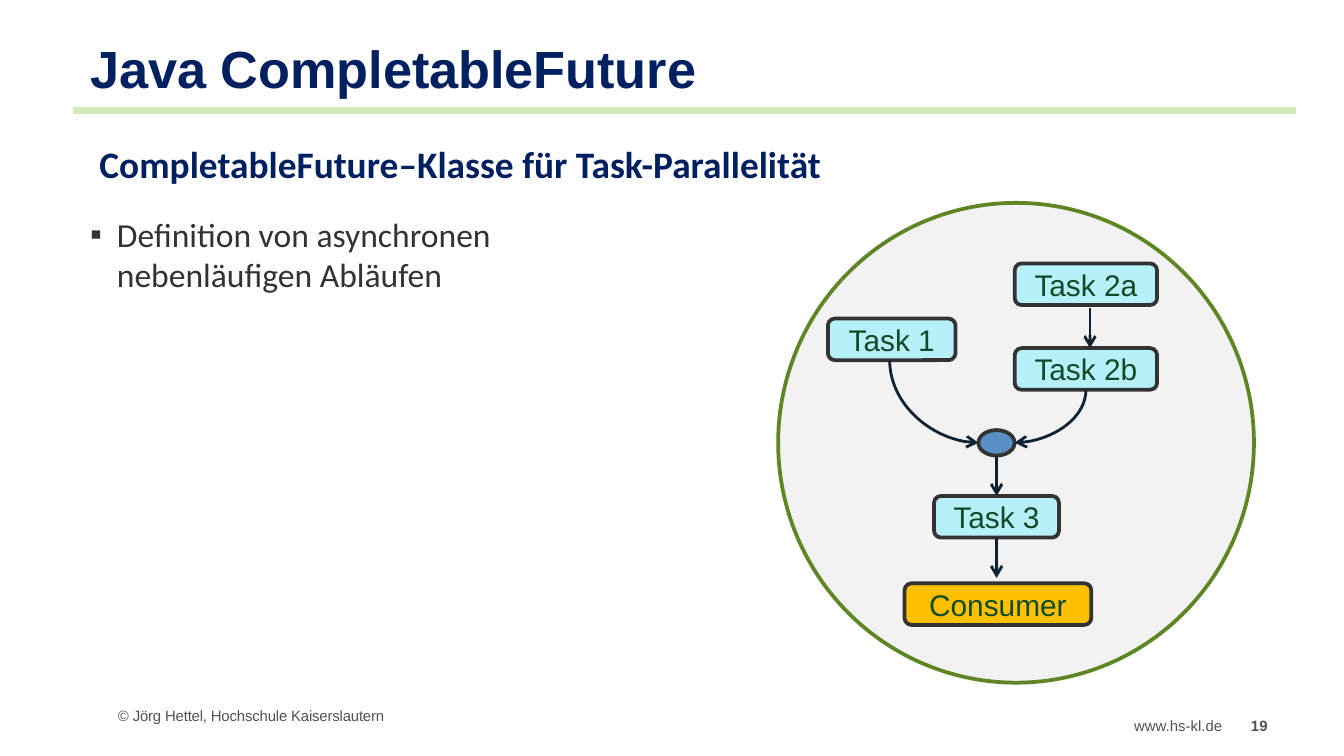
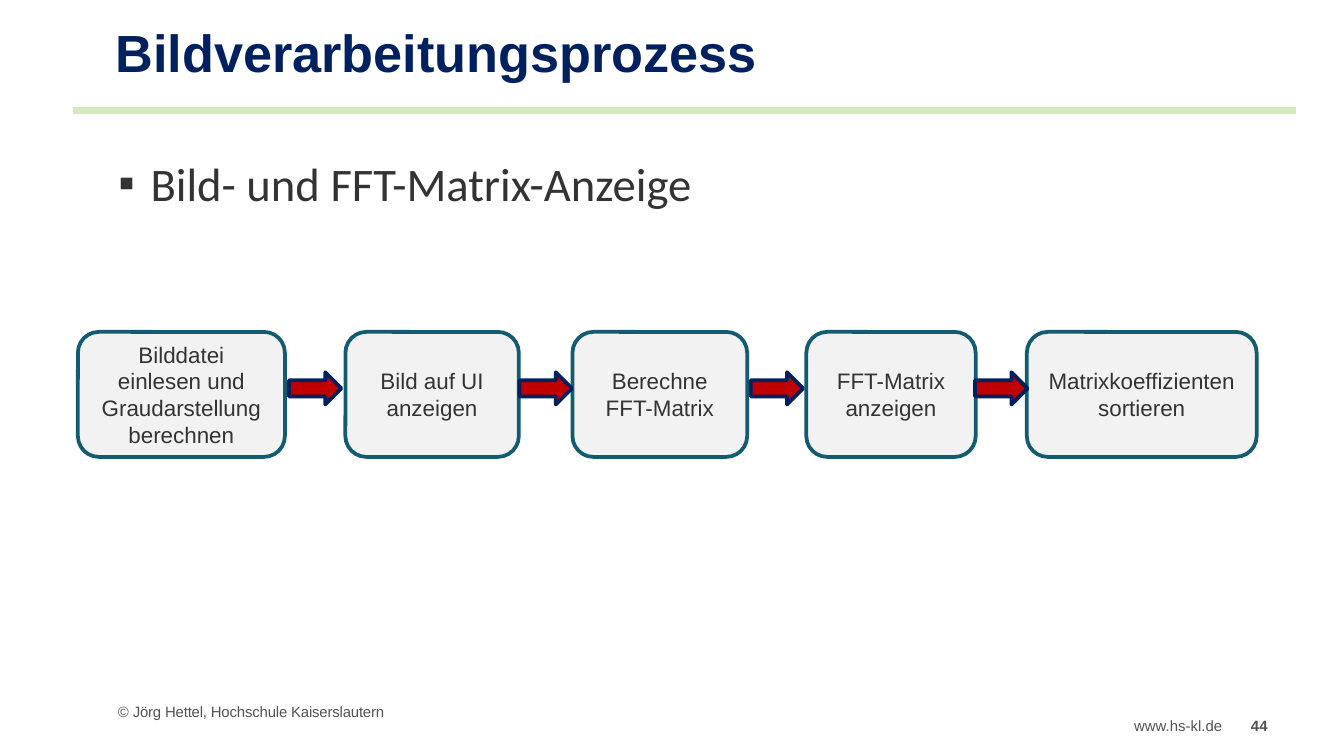
from itertools import pairwise

from lxml import etree
from pptx import Presentation
from pptx import util as u
from pptx.dml.color import RGBColor
from pptx.enum import shapes, text
from pptx.oxml.ns import qn

PX = 9144
SLIDE_WIDTH = 1000
SLIDE_HEIGHT = SLIDE_WIDTH * 9 / 16

NAVY = RGBColor(0x00, 0x20, 0x60)
DARK = RGBColor(0x33, 0x33, 0x33)
GREY = RGBColor(0x52, 0x52, 0x52)
PALE = RGBColor(0xF2, 0xF2, 0xF2)
RULE_GREEN = RGBColor(0xD3, 0xEA, 0xBF)
CIRCLE_GREEN = RGBColor(0x60, 0x85, 0x25)
TASK_GREEN = RGBColor(0x0F, 0x4B, 0x28)
TASK_CYAN = RGBColor(0xB6, 0xF0, 0xF8)
ORANGE = RGBColor(0xFF, 0xC0, 0x00)
BLUE = RGBColor(0x58, 0x90, 0xC5)
ARROW_INK = RGBColor(0x11, 0x22, 0x33)
TEAL = RGBColor(0x12, 0x5B, 0x70)
RED = RGBColor(0xC0, 0x00, 0x00)

SITE = "www.hs-kl.de"
COPYRIGHT = "© Jörg Hettel, Hochschule Kaiserslautern"

FUTURE = {
    "title": "Java CompletableFuture",
    "heading": "CompletableFuture–Klasse für Task-Parallelität",
    "bullet": ["Definition von asynchronen", "nebenläufigen Abläufen"],
    "tasks": {
        "Task 1": (616, 237, 95, TASK_CYAN),
        "Task 2a": (755, 196, 106, TASK_CYAN),
        "Task 2b": (755, 259, 106, TASK_CYAN),
        "Task 3": (695, 369, 93, TASK_CYAN),
        "Consumer": (673, 434, 139, ORANGE),
    },
    "number": "19",
}
IMAGING = {
    "title": "Bildverarbeitungsprozess",
    "bullet": ["Bild- und FFT-Matrix-Anzeige"],
    "steps": [
        ("Bilddatei einlesen und Graudarstellung berechnen", 58, 154),
        ("Bild auf UI anzeigen", 257, 129),
        ("Berechne FFT-Matrix", 426, 130),
        ("FFT-Matrix anzeigen", 600, 126),
        ("Matrixkoeffizienten sortieren", 764, 171),
    ],
    "number": "44",
}
TASK_HEIGHT = 31
STEP_TOP, STEP_HEIGHT = 247, 93
ARROW_TOP, ARROW_WIDTH, ARROW_HEIGHT = 277, 39, 24
JOIN = (728, 320, 27, 19)


def emu(*lengths):
    return [round(length * PX) for length in lengths]


def add_run(paragraph, words, size, color, font="Arial", bold=False):
    run = paragraph.add_run()
    run.text = words
    run.font.size = u.Pt(size)
    run.font.name = font
    run.font.bold = bold
    run.font.color.rgb = color
    return run


def set_insets(frame, *insets):
    (frame.margin_left, frame.margin_top,
     frame.margin_right, frame.margin_bottom) = emu(*insets)


def place(shape, box):
    shape.left, shape.top, shape.width, shape.height = emu(*box)


def add_box(slide, kind, box, fill, line, words="", size=12, color=DARK):
    shape = slide.shapes.add_shape(kind, *emu(*box))
    shape.shadow.inherit = False
    shape.fill.solid()
    shape.fill.fore_color.rgb = fill
    shape.line.color.rgb = line
    shape.line.width = u.Pt(2)
    if words:
        frame = shape.text_frame
        frame.word_wrap = True
        frame.vertical_anchor = text.MSO_ANCHOR.MIDDLE
        paragraph = frame.paragraphs[0]
        paragraph.alignment = text.PP_ALIGN.CENTER
        add_run(paragraph, words, size, color)
    return shape


def add_line(slide, kind, start, end, color, width):
    connector = slide.shapes.add_connector(kind, *emu(*start, *end))
    connector.line.color.rgb = color
    connector.line.width = u.Pt(width)
    etree.SubElement(connector._element.spPr, qn("a:effectLst"))
    return connector


def add_arrow(slide, start, end, kind=shapes.MSO_CONNECTOR.STRAIGHT):
    connector = add_line(slide, kind, start, end, ARROW_INK, 1.5)
    etree.SubElement(connector.line._get_or_add_ln(), qn("a:tailEnd"), type="arrow")
    return connector


def add_bend(slide, start, end):
    center_x, center_y = (start[0] + end[0]) / 2, (start[1] + end[1]) / 2
    half_width, half_height = (end[1] - start[1]) / 2, (end[0] - start[0]) / 2
    rightward = half_height > 0
    side = -half_width if rightward else half_width
    connector = add_arrow(
        slide,
        (center_x - side, center_y - abs(half_height)),
        (center_x + side, center_y + abs(half_height)),
        shapes.MSO_CONNECTOR.CURVE,
    )
    properties = connector._element.spPr
    properties.find(qn("a:prstGeom")).set("prst", "curvedConnector2")
    properties.find(qn("a:xfrm")).set("rot", str((270 if rightward else 90) * 60000))


def add_label(slide, box, words, bold=False):
    label = slide.shapes.add_textbox(*emu(*box))
    frame = label.text_frame
    frame.word_wrap = False
    frame.auto_size = text.MSO_AUTO_SIZE.SHAPE_TO_FIT_TEXT
    add_run(frame.paragraphs[0], words, 8, GREY, bold=bold)
    return label


def add_slide(presentation, content, title_box, title_insets, anchor, body_box, footer_top):
    slide = presentation.slides.add_slide(presentation.slide_layouts[1])
    add_line(slide, shapes.MSO_CONNECTOR.STRAIGHT, (54, 82), (964, 82), RULE_GREEN, 3.75)
    add_label(slide, (834, 528, 87, 24), SITE)
    add_label(slide, (921, 528, 43, 24), content["number"], bold=True)

    footer = add_label(slide, (78, footer_top, 363, 15), COPYRIGHT)
    footer.text_frame.auto_size = text.MSO_AUTO_SIZE.NONE
    footer.text_frame.word_wrap = True
    footer.text_frame.vertical_anchor = text.MSO_ANCHOR.MIDDLE
    run = footer.text_frame.paragraphs[0].runs[0]
    run.font._element.set("spc", "-10")

    title = slide.shapes.title
    place(title, title_box)
    frame = title.text_frame
    frame.auto_size = text.MSO_AUTO_SIZE.NONE
    frame.vertical_anchor = anchor
    set_insets(frame, *title_insets)
    paragraph = frame.paragraphs[0]
    paragraph.alignment = text.PP_ALIGN.LEFT
    paragraph.line_spacing = u.Pt(31)
    add_run(paragraph, content["title"], 28, NAVY, bold=True)

    body = slide.placeholders[1]
    place(body, body_box)
    frame = body.text_frame
    frame.auto_size = text.MSO_AUTO_SIZE.NONE
    frame.vertical_anchor = text.MSO_ANCHOR.TOP
    set_insets(frame, 10, 4, 10, 5)
    return slide, frame


def format_paragraph(paragraph, margin, indent, before, bullet=None):
    properties = paragraph._p.get_or_add_pPr()
    properties.set("marL", str(margin * PX))
    properties.set("indent", str(indent * PX))
    if bullet:
        etree.SubElement(properties, qn("a:buFont"), typeface="Arial")
        etree.SubElement(properties, qn("a:buChar"), char=bullet)
    else:
        etree.SubElement(properties, qn("a:buNone"))
    paragraph.space_before = u.Pt(before)
    paragraph.space_after = u.Pt(6)


def add_bullet(paragraph, lines, size, hanging, before):
    format_paragraph(paragraph, hanging, -hanging, before, "▪")
    for index, line in enumerate(lines):
        if index:
            paragraph.add_line_break()
        add_run(paragraph, line, size, DARK, "Calibri")


def build_future(presentation):
    slide, frame = add_slide(
        presentation, FUTURE, (63, 24, 854, 56), (4, 4, 4, 4),
        text.MSO_ANCHOR.MIDDLE, (57, 101, 858, 265), 525)
    heading = frame.paragraphs[0]
    format_paragraph(heading, 7, 0, 0)
    add_run(heading, FUTURE["heading"], 20, NAVY, "Calibri", bold=True)
    add_bullet(frame.add_paragraph(), FUTURE["bullet"], 18, 20, 9)

    add_box(slide, shapes.MSO_SHAPE.OVAL, (579, 151, 354, 357), PALE, CIRCLE_GREEN)
    tasks = {
        name: add_box(slide, shapes.MSO_SHAPE.ROUNDED_RECTANGLE,
                      (left, top, width, TASK_HEIGHT), fill, DARK, name, 16, TASK_GREEN)
        for name, (left, top, width, fill) in FUTURE["tasks"].items()
    }
    left, top, width, height = JOIN
    middle, center = top + height / 2, left + width / 2
    add_bend(slide, (662, 268), (left, middle))
    add_box(slide, shapes.MSO_SHAPE.OVAL, JOIN, BLUE, DARK)
    add_bend(slide, (808, 290), (left + width, middle))
    add_arrow(slide, (center, top + height), (center, 369)).end_connect(tasks["Task 3"], 0)
    add_arrow(slide, (center, 400), (center, 430)).begin_connect(tasks["Task 3"], 2)
    add_arrow(slide, (811, 229), (811, 259))


def build_imaging(presentation):
    slide, frame = add_slide(
        presentation, IMAGING, (76, 29, 735, 39), (10, 5, 10, 6),
        text.MSO_ANCHOR.BOTTOM, (78, 111, 858, 57), 522)
    add_bullet(frame.paragraphs[0], IMAGING["bullet"], 25, 24, 0)

    for words, left, width in IMAGING["steps"]:
        add_box(slide, shapes.MSO_SHAPE.ROUNDED_RECTANGLE,
                (left, STEP_TOP, width, STEP_HEIGHT), PALE, TEAL, words)
    for (_, left, width), (_, following, _) in pairwise(IMAGING["steps"]):
        gap_center = (left + width + following) / 2
        add_box(slide, shapes.MSO_SHAPE.RIGHT_ARROW,
                (gap_center - ARROW_WIDTH / 2, ARROW_TOP, ARROW_WIDTH, ARROW_HEIGHT),
                RED, NAVY)


def main():
    presentation = Presentation()
    presentation.slide_width, presentation.slide_height = emu(SLIDE_WIDTH, SLIDE_HEIGHT)
    build_future(presentation)
    build_imaging(presentation)
    presentation.save("out.pptx")


if __name__ == "__main__":
    main()
